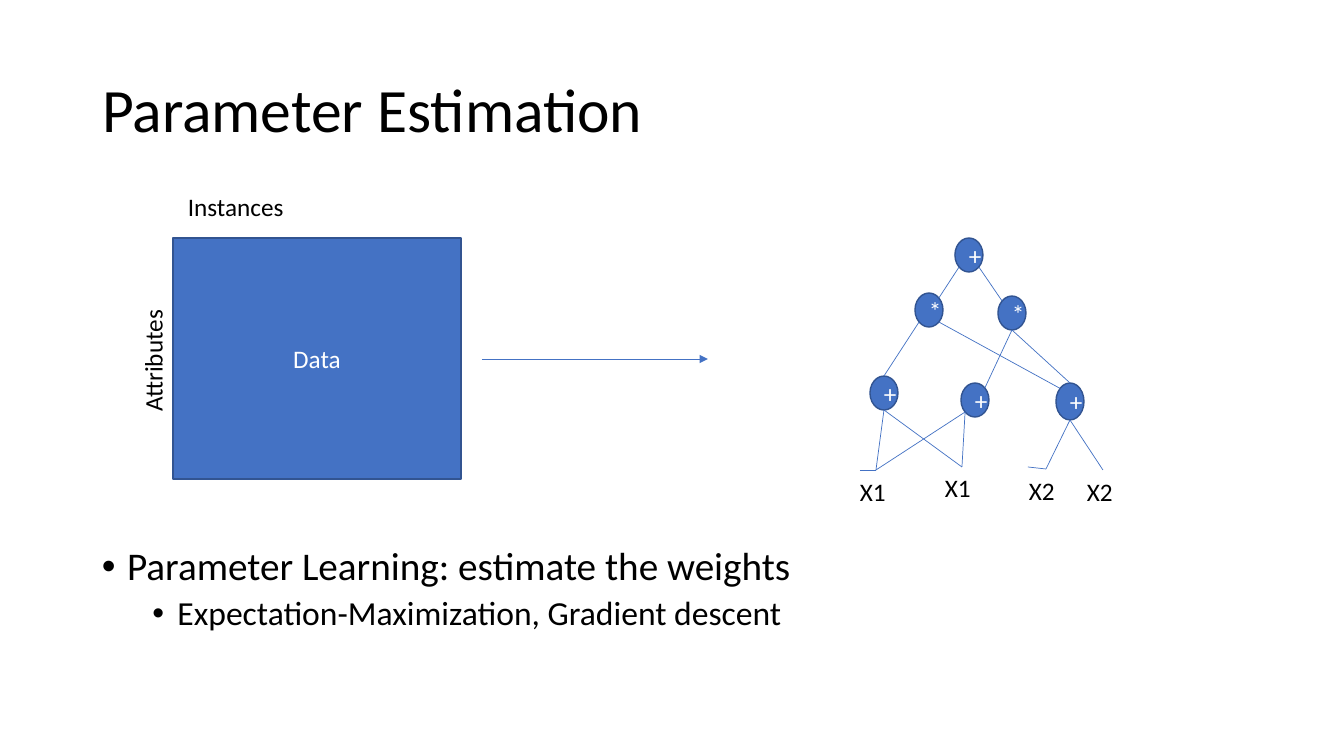
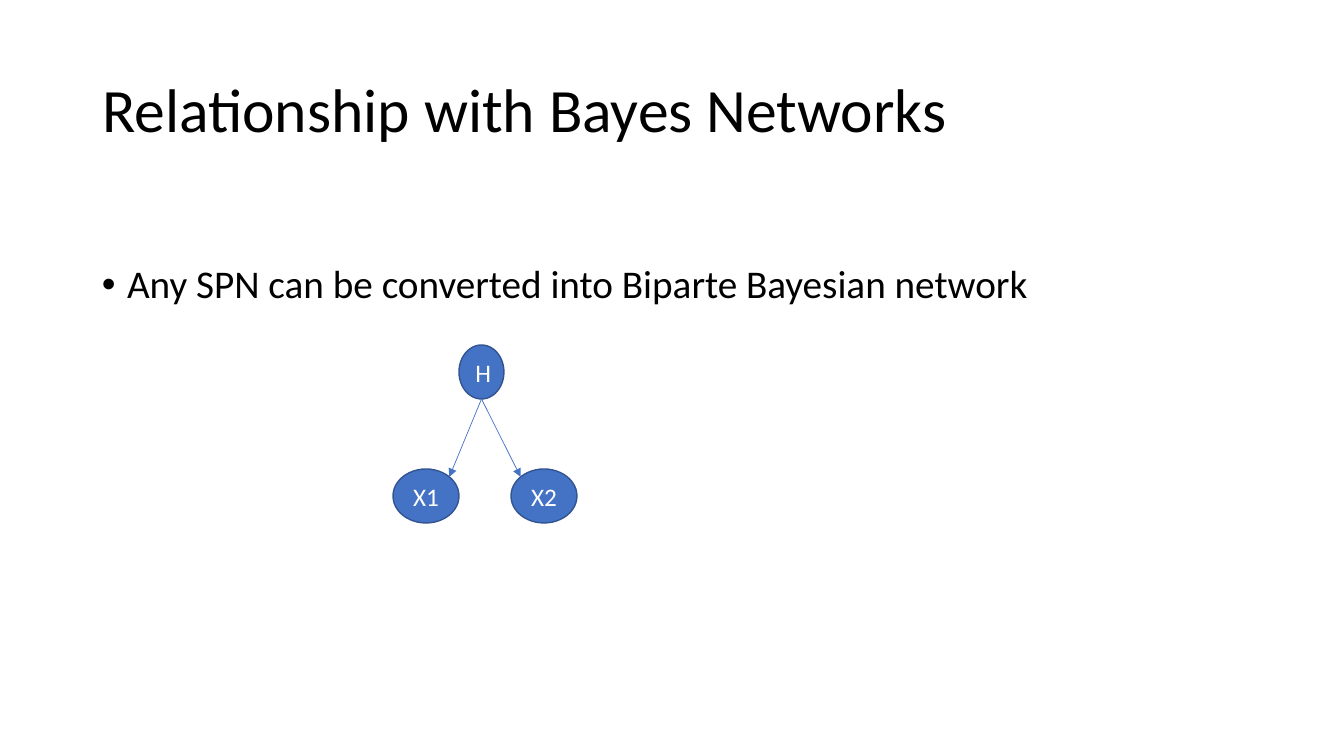
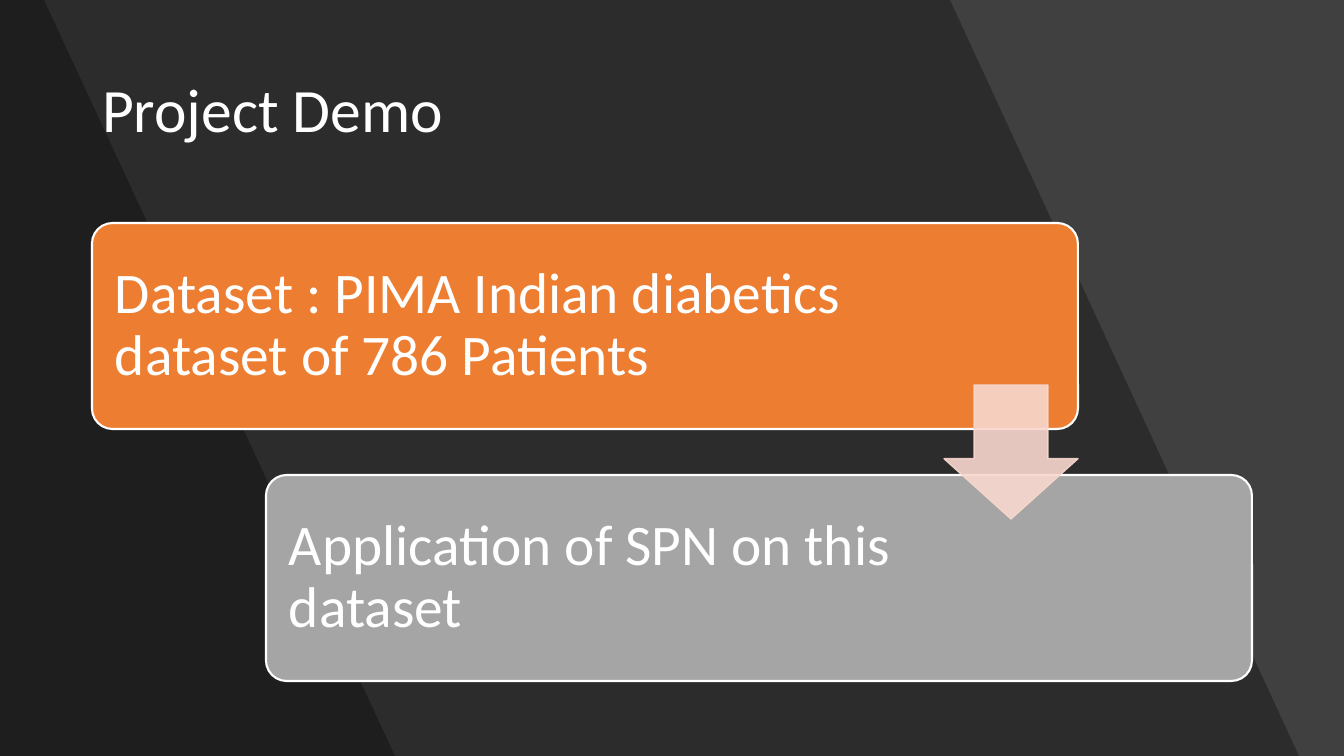
"""Build three slides on sum-product networks: learning, Bayes networks and a demo."""
from dataclasses import dataclass
from math import sqrt
from typing import Optional

from pptx import Presentation, util as u
from pptx.dml.color import RGBColor
from pptx.enum import shapes, text
from pptx.oxml import parse_xml
from pptx.oxml.ns import nsdecls, qn

PX = 12192000 / 1344
FONT = "Calibri"
COLORS = {
    "black": "000000", "white": "FFFFFF", "blue": "4472C4", "navy": "325491",
    "charcoal": "404040", "orange": "ED7D31", "gray": "A5A5A5", "blush": "F8D7CE",
}
DIAGONAL = 1 / sqrt(2)
PORTS = {
    "top": (0, -1), "bottom": (0, 1),
    "top left": (-DIAGONAL, -DIAGONAL), "top right": (DIAGONAL, -DIAGONAL),
    "bottom left": (-DIAGONAL, DIAGONAL), "bottom right": (DIAGONAL, DIAGONAL),
}
Point = tuple[float, float]


@dataclass(frozen=True)
class Box:
    """A rectangle in pixels."""
    x: int
    y: int
    w: int
    h: int

    def emu(self) -> list[u.Emu]:
        """Return left, top, width and height in EMU."""
        return [px(v) for v in (self.x, self.y, self.w, self.h)]


@dataclass(frozen=True)
class Node:
    """A labelled ellipse of a network."""
    label: str
    box: Box

    def port(self, side: str) -> Point:
        """Return the point of the outline on the given side."""
        dx, dy = PORTS[side]
        b = self.box
        return b.x + b.w / 2 * (1 + dx), b.y + b.h / 2 * (1 + dy)


@dataclass(frozen=True)
class Label:
    """A small caption, turned if needed."""
    words: str
    box: Box
    rotation: int = 0


@dataclass(frozen=True)
class Bullet:
    """A bulleted line with its level."""
    words: str
    level: int = 0


@dataclass(frozen=True)
class Step:
    """A rounded panel of the demo process."""
    words: str
    box: Box
    fill: str
    right_margin: int


def px(value: float) -> u.Emu:
    """Turn pixels into EMU."""
    return u.Emu(round(value * PX))


def rgb(name: str) -> RGBColor:
    """Look up a named colour."""
    return RGBColor.from_string(COLORS[name])


def format_text(tf, size: float, color: str, align=text.PP_ALIGN.LEFT) -> None:
    """Format every run of a text frame alike."""
    for p in tf.paragraphs:
        p.alignment = align
        for r in p.runs:
            r.font.size, r.font.name = u.Pt(size), FONT
            r.font.color.rgb = rgb(color)


def set_alpha(fill, percent: int) -> None:
    """Make a solid fill partly transparent."""
    color = fill._xPr.find(qn("a:solidFill"))[0]
    color.append(parse_xml(f'<a:alpha {nsdecls("a")} val="{percent * 1000}"/>'))


def paint(sp, fill: str, line: Optional[str], width: float = 1, alpha: int = 100) -> None:
    """Give a shape its fill and outline."""
    sp.shadow.inherit = False
    sp.fill.solid()
    sp.fill.fore_color.rgb = rgb(fill)
    if line:
        sp.line.color.rgb = rgb(line)
        sp.line.width = u.Pt(width)
    else:
        sp.line.fill.background()
    if alpha < 100:
        set_alpha(sp.fill, alpha)
        if line:
            set_alpha(sp.line.fill, alpha)


def add_slide(prs, title: str, color: str = "black", background: str = "white"):
    """Add a slide with the shared title style."""
    s = prs.slides.add_slide(prs.slide_layouts[5])
    s.background.fill.solid()
    s.background.fill.fore_color.rgb = rgb(background)
    sp = s.shapes.title
    sp.left, sp.top, sp.width, sp.height = Box(92, 40, 1160, 146).emu()
    tf = sp.text_frame
    tf.text = title
    tf.auto_size = text.MSO_AUTO_SIZE.NONE
    tf.vertical_anchor = text.MSO_ANCHOR.MIDDLE
    tf.paragraphs[0].line_spacing = 0.9
    format_text(tf, 44, color)
    return s


def add_filled(s, kind, box: Box, words: str) -> None:
    """Add a blue shape with a centred white word."""
    sp = s.shapes.add_shape(kind, *box.emu())
    paint(sp, "blue", "navy")
    sp.text_frame.text = words
    format_text(sp.text_frame, 18, "white", text.PP_ALIGN.CENTER)


def add_nodes(s, nodes: list[Node]) -> None:
    """Draw the ellipses of a network."""
    for node in nodes:
        add_filled(s, shapes.MSO_SHAPE.OVAL, node.box, node.label)


def add_lines(s, lines: list[tuple[Point, Point]], arrow: bool = False) -> None:
    """Draw thin blue lines, with arrowheads if asked."""
    for start, end in lines:
        sp = s.shapes.add_connector(
            shapes.MSO_CONNECTOR.STRAIGHT, *[px(v) for v in (*start, *end)])
        sp.line.color.rgb = rgb("blue")
        sp.line.width = u.Pt(0.5)
        if arrow:
            sp.line._get_or_add_ln().append(
                parse_xml(f'<a:tailEnd {nsdecls("a")} type="triangle"/>'))
        sp._element.spPr.append(parse_xml(f'<a:effectLst {nsdecls("a")}/>'))


def add_labels(s, labels: list[Label]) -> None:
    """Draw the captions."""
    for label in labels:
        sp = s.shapes.add_textbox(*label.box.emu())
        sp.rotation = label.rotation
        tf = sp.text_frame
        tf.word_wrap = True
        tf.text = label.words
        format_text(tf, 18, "black")


def add_bullets(s, top: int, bullets: list[Bullet]) -> None:
    """Draw a bulleted list of one or two levels."""
    tf = s.shapes.add_textbox(*Box(92, top, 1160, 681 - top).emu()).text_frame
    tf.word_wrap = True
    tf.margin_top = 0
    tf.text = "\n".join(b.words for b in bullets)
    format_text(tf, 28, "black")
    for i, (p, bullet) in enumerate(zip(tf.paragraphs, bullets)):
        p.level = bullet.level
        p.line_spacing = 0.9
        p.space_before = u.Pt((5 if bullet.level else 10) if i else 0)
        p.runs[0].font.size = u.Pt(28 - 4 * bullet.level)
        pPr = p._p.get_or_add_pPr()
        pPr.set("marL", str(u.Inches(0.25 + 0.5 * bullet.level)))
        pPr.set("indent", str(-u.Inches(0.25)))
        pPr.append(parse_xml(f'<a:buFont {nsdecls("a")} typeface="Arial"/>'))
        pPr.append(parse_xml(f'<a:buChar {nsdecls("a")} char="•"/>'))


def add_band(s, top_width: int, bottom_width: int) -> None:
    """Darken the slide left of a slanted edge."""
    builder = s.shapes.build_freeform(0, 0, scale=PX)
    builder.add_line_segments([(top_width, 0), (bottom_width, 756), (0, 756)])
    paint(builder.convert_to_shape(), "black", None, alpha=30)


def add_step(s, step: Step) -> None:
    """Draw a panel of the process."""
    sp = s.shapes.add_shape(shapes.MSO_SHAPE.ROUNDED_RECTANGLE, *step.box.emu())
    sp.adjustments[0] = 0.1
    paint(sp, step.fill, "white", 1.5)
    tf = sp.text_frame
    tf.word_wrap = True
    tf.margin_left = tf.margin_top = tf.margin_bottom = px(17)
    tf.margin_right = px(step.right_margin)
    tf.text = step.words
    tf.paragraphs[0].line_spacing = 0.9
    format_text(tf, 41, "white")


def build_estimation(prs) -> None:
    """Show data turning into a weighted network."""
    s = add_slide(prs, "Parameter Estimation")
    add_bullets(s, 547, [
        Bullet("Parameter Learning: estimate the weights"),
        Bullet("Expectation-Maximization, Gradient descent", 1),
    ])
    add_filled(s, shapes.MSO_SHAPE.RECTANGLE, Box(173, 238, 288, 241), "Data")
    add_lines(s, [((482, 359), (708, 359))], arrow=True)

    root = Node("+", Box(955, 238, 28, 34))
    left_product = Node("*", Box(915, 293, 28, 34))
    right_product = Node("*", Box(998, 296, 28, 34))
    left_sum = Node("+", Box(870, 376, 28, 34))
    middle_sum = Node("+", Box(961, 383, 28, 34))
    right_sum = Node("+", Box(1056, 383, 28, 37))
    x1_left, x1_right, x2_left, x2_right = (876, 470), (962, 467), (1046, 469), (1103, 470)
    add_nodes(s, [root, left_product, right_product, left_sum, middle_sum, right_sum])
    add_lines(s, [
        (root.port("bottom left"), left_product.port("top right")),
        (root.port("bottom right"), right_product.port("top left")),
        (left_product.port("bottom left"), left_sum.port("top")),
        (left_product.port("bottom right"), right_sum.port("top left")),
        (right_product.port("bottom"), middle_sum.port("bottom right")[:1] + (388,)),
        (right_product.port("bottom"), right_sum.port("top")),
        (left_sum.port("bottom"), x1_left),
        (left_sum.port("bottom"), x1_right),
        (middle_sum.port("bottom left"), x1_left),
        (middle_sum.port("bottom left"), x1_right),
        (right_sum.port("bottom"), x2_left),
        (right_sum.port("bottom"), x2_right),
        ((860, 470), x1_left),
        ((1028, 467), x2_left),
    ])
    add_labels(s, [
        Label("Instances", Box(178, 186, 259, 40)),
        Label("Attributes", Box(90, 339, 125, 40), 270),
        Label("X1", Box(850, 471, 53, 40)),
        Label("X1", Box(935, 467, 53, 40)),
        Label("X2", Box(1019, 470, 53, 40)),
        Label("X2", Box(1077, 471, 53, 40)),
    ])


def build_bayes(prs) -> None:
    """Show a two-layer Bayes network."""
    s = add_slide(prs, "Relationship with Bayes Networks")
    add_bullets(s, 265, [Bullet("Any SPN can be converted into Biparte Bayesian network")])
    hidden = Node("H", Box(459, 345, 45, 54))
    x1 = Node("X1", Box(393, 469, 66, 54))
    x2 = Node("X2", Box(511, 469, 66, 54))
    add_nodes(s, [hidden, x1, x2])
    add_lines(s, [
        (hidden.port("bottom"), x1.port("top right")),
        (hidden.port("bottom"), x2.port("top left")),
    ], arrow=True)


def build_demo(prs) -> None:
    """Show the two steps of the demo on a dark background."""
    s = add_slide(prs, "Project Demo", "white", "charcoal")
    title = s.shapes.title._element
    add_band(s, 950, 1299)
    add_band(s, 44, 395)
    s.shapes._spTree.append(title)
    for step in [
        Step("Dataset : PIMA Indian diabetics dataset of 786 Patients",
             Box(92, 223, 986, 206), "orange", 219),
        Step("Application of SPN on this dataset",
             Box(266, 475, 986, 206), "gray", 326),
    ]:
        add_step(s, step)
    sp = s.shapes.add_shape(shapes.MSO_SHAPE.DOWN_ARROW, *Box(944, 385, 134, 134).emu())
    sp.adjustments[0], sp.adjustments[1] = 0.55, 0.45
    paint(sp, "blush", "blush", alpha=90)


def main() -> None:
    """Build and save the slides."""
    prs = Presentation()
    prs.slide_width, prs.slide_height = px(1344), px(756)
    build_estimation(prs)
    build_bayes(prs)
    build_demo(prs)
    prs.save("out.pptx")


main()
